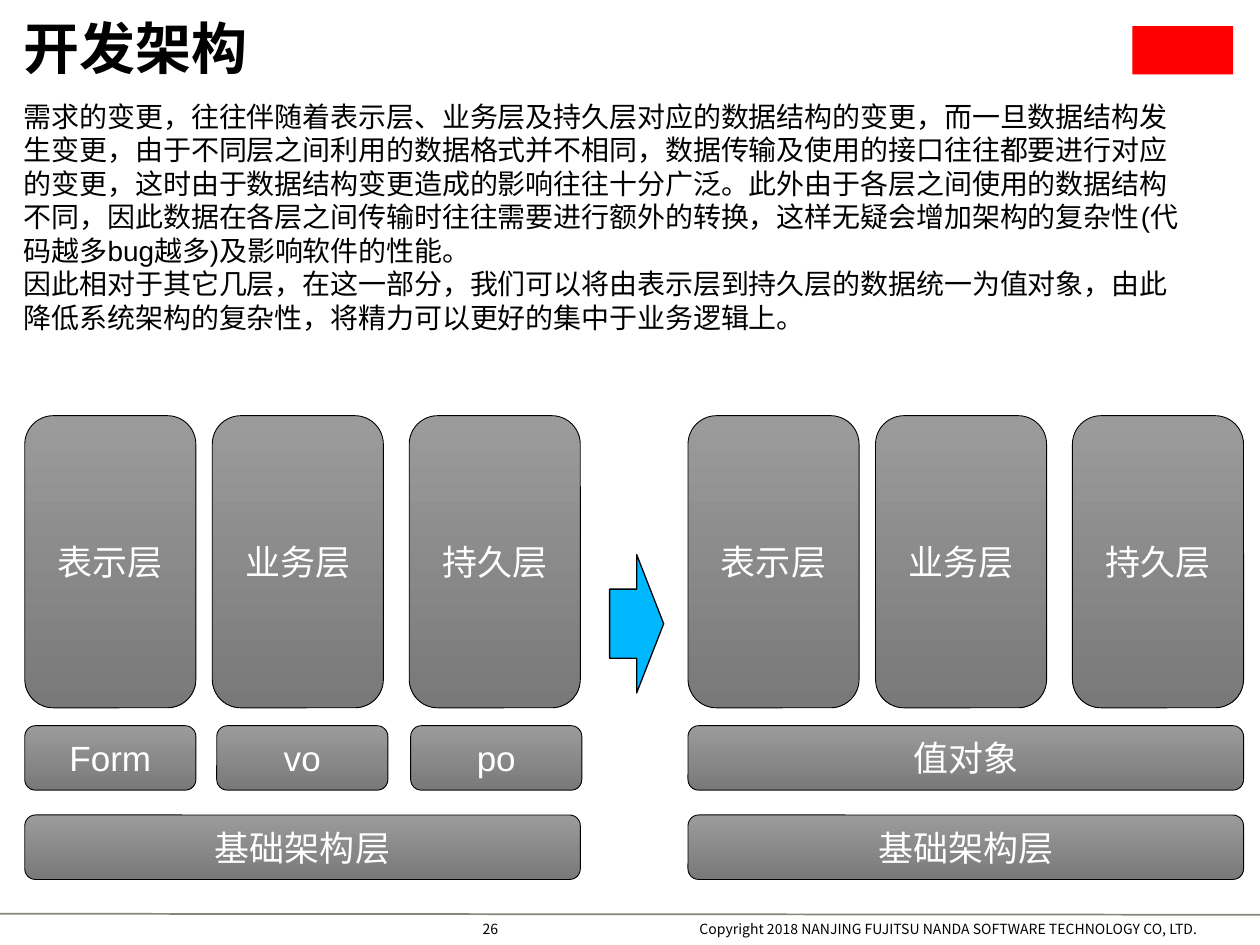
from pptx import Presentation
from pptx.dml.color import RGBColor
from pptx.enum.shapes import MSO_CONNECTOR, MSO_SHAPE
from pptx.enum.text import MSO_ANCHOR, MSO_AUTO_SIZE, PP_ALIGN
from pptx.oxml.ns import qn
from pptx.util import Cm, Pt
from lxml import etree

ROUNDED = MSO_SHAPE.ROUNDED_RECTANGLE
RECTANGLE = MSO_SHAPE.RECTANGLE
ARROW = MSO_SHAPE.RIGHT_ARROW
STRAIGHT = MSO_CONNECTOR.STRAIGHT
TOP, MIDDLE, BOTTOM = MSO_ANCHOR.TOP, MSO_ANCHOR.MIDDLE, MSO_ANCHOR.BOTTOM
NO_AUTOFIT = MSO_AUTO_SIZE.NONE
LEFT, CENTER = PP_ALIGN.LEFT, PP_ALIGN.CENTER

TITLE_ONLY = 5
LAYER_NAMES = ["表示层", "业务层", "持久层"]
LAYER_LEFTS = [0.5, 4.28, 8.25]
OBJECTS = [("Form", 0.5), ("vo", 4.37), ("po", 8.28)]
BOX_WIDTH, WIDE_WIDTH = 3.45, 11.2
LAYER_TOP, LAYER_HEIGHT = 8.38, 5.89
OBJECT_TOP, BASE_TOP, BAR_HEIGHT = 14.63, 16.43, 1.3
RIGHT_OFFSET = 13.37
BODY = [
    "需求的变更，往往伴随着表示层、业务层及持久层对应的数据结构的变更，而一旦数据结构发生变更，"
    "由于不同层之间利用的数据格式并不相同，数据传输及使用的接口往往都要进行对应的变更，"
    "这时由于数据结构变更造成的影响往往十分广泛。此外由于各层之间使用的数据结构不同，"
    "因此数据在各层之间传输时往往需要进行额外的转换，这样无疑会增加架构的复杂性"
    "(代码越多bug越多)及影响软件的性能。",
    "因此相对于其它几层，在这一部分，我们可以将由表示层到持久层的数据统一为值对象，"
    "由此降低系统架构的复杂性，将精力可以更好的集中于业务逻辑上。",
]
COPYRIGHT = "Copyright 2018 NANJING FUJITSU NANDA SOFTWARE TECHNOLOGY CO, LTD."


def color(hex_value):
    """Return the colour for a hex string."""
    return RGBColor.from_string(hex_value)


class SlideBuilder:
    """Hold the style and the current slide."""

    font, footer_font = "Arial", "Noto Sans CJK SC"
    black, white = "000000", "FFFFFF"
    gradient = ["9B9B9B", "797979"]

    def __init__(self, slide):
        """Keep the slide to draw on."""
        self.slide = slide

    def fill_text(self, shape, lines, size, hex_value, font=None, anchor=MIDDLE,
                  align=LEFT, margins=(0, 0), spacing=None, bold=False):
        """Fill a shape with formatted paragraphs."""
        frame = shape.text_frame
        frame.word_wrap = True
        frame.auto_size = NO_AUTOFIT
        frame.vertical_anchor = anchor
        frame.margin_left = frame.margin_right = Cm(margins[0])
        frame.margin_top = frame.margin_bottom = Cm(margins[1])
        frame.text = "\n".join(lines)
        for paragraph in frame.paragraphs:
            paragraph.alignment = align
            paragraph.line_spacing = spacing
            paragraph.font.name = font or self.font
            paragraph.font.size = Pt(size)
            paragraph.font.bold = bold
            paragraph.font.color.rgb = color(hex_value)

    def title(self, text, left, top, width, height):
        """Place and format the title placeholder."""
        title = self.slide.shapes.title
        title.left, title.top = Cm(left), Cm(top)
        title.width, title.height = Cm(width), Cm(height)
        self.fill_text(title, [text], 32, self.black, bold=True)

    def text(self, lines, left, top, width, height, size, **style):
        """Add a text box."""
        box = self.slide.shapes.add_textbox(Cm(left), Cm(top), Cm(width), Cm(height))
        self.fill_text(box, lines, size, self.black, **style)

    def shape(self, kind, left, top, width, height, fill=None, line_width=None):
        """Add a preset shape with an optional solid fill and black outline."""
        shape = self.slide.shapes.add_shape(
            kind, Cm(left), Cm(top), Cm(width), Cm(height))
        shape.shadow.inherit = False
        if fill:
            shape.fill.solid()
            shape.fill.fore_color.rgb = color(fill)
        if line_width:
            shape.line.color.rgb = color(self.black)
            shape.line.width = Pt(line_width)
        else:
            shape.line.fill.background()
        return shape

    def block(self, text, left, top, width, height):
        """Add a labelled grey gradient block."""
        block = self.shape(ROUNDED, left, top, width, height, line_width=0.5)
        block.fill.gradient()
        block.fill.gradient_angle = 270
        for stop, position, hex_value in zip(
                block.fill.gradient_stops, (0, 1), self.gradient):
            stop.position = position
            stop.color.rgb = color(hex_value)
        self.fill_text(block, [text], 20, self.white, align=CENTER, margins=(0.25, 0.13))

    def line(self, left, top, right, bottom, hex_value, width):
        """Add a straight line."""
        line = self.slide.shapes.add_connector(
            STRAIGHT, Cm(left), Cm(top), Cm(right), Cm(bottom))
        line.line.color.rgb = color(hex_value)
        line.line.width = Pt(width)
        etree.SubElement(line._element.spPr, qn("a:effectLst"))

    def architecture(self, offset):
        """Add the three layers above their base layer."""
        for name, left in zip(LAYER_NAMES, LAYER_LEFTS):
            self.block(name, left + offset, LAYER_TOP, BOX_WIDTH, LAYER_HEIGHT)
        self.block("基础架构层", LAYER_LEFTS[0] + offset, BASE_TOP, WIDE_WIDTH, BAR_HEIGHT)


def main():
    """Build and save the presentation."""
    presentation = Presentation()
    presentation.slide_width, presentation.slide_height = Cm(25.4), Cm(19.05)
    slide = presentation.slides.add_slide(presentation.slide_layouts[TITLE_ONLY])
    builder = SlideBuilder(slide)

    builder.line(0, 18.42, 25.4, 18.44, "87867E", 1)
    builder.shape(RECTANGLE, 22.83, 0.53, 2.03, 0.97, fill="FF0000")
    builder.title("开发架构", 0.48, 0, 21.79, 1.9)
    footer = {"size": 8, "font": builder.footer_font, "anchor": BOTTOM}
    builder.text([COPYRIGHT], 14.1, 18.19, 10.74, 0.7, **footer)
    builder.text(["26"], 9.73, 18.39, 5.89, 0.5, **footer)
    builder.text(BODY, 0.23, 1.88, 24, 5, 16, anchor=TOP,
                 margins=(0.25, 0.13), spacing=Pt(19.1))

    for offset in (0, RIGHT_OFFSET):
        builder.architecture(offset)
    for name, left in OBJECTS:
        builder.block(name, left, OBJECT_TOP, BOX_WIDTH, BAR_HEIGHT)
    builder.block("值对象", LAYER_LEFTS[0] + RIGHT_OFFSET, OBJECT_TOP, WIDE_WIDTH, BAR_HEIGHT)
    builder.shape(ARROW, 12.29, 11.18, 1.09, 2.79, fill="00B8FF", line_width=0.75)
    presentation.save("out.pptx")


if __name__ == "__main__":
    main()
